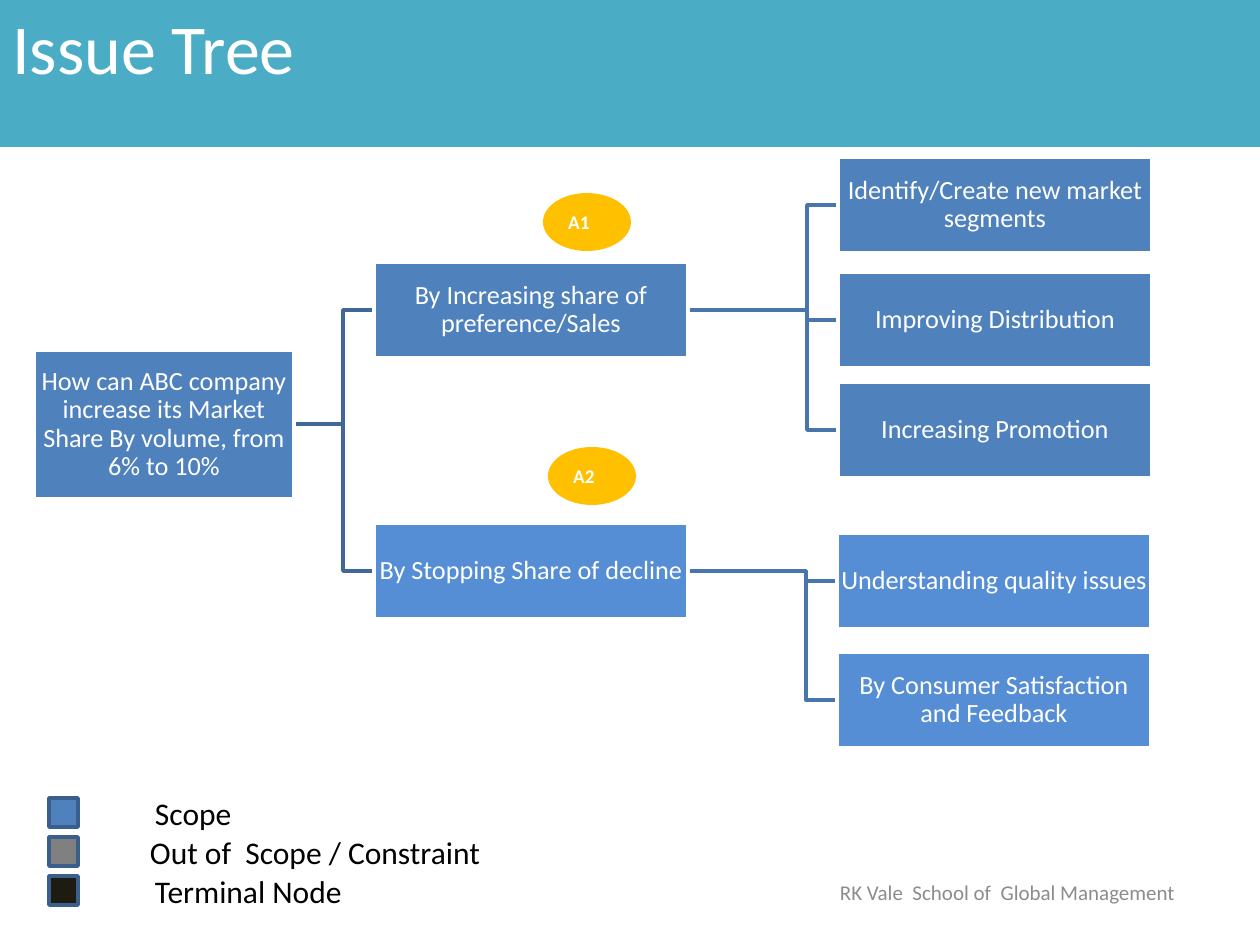
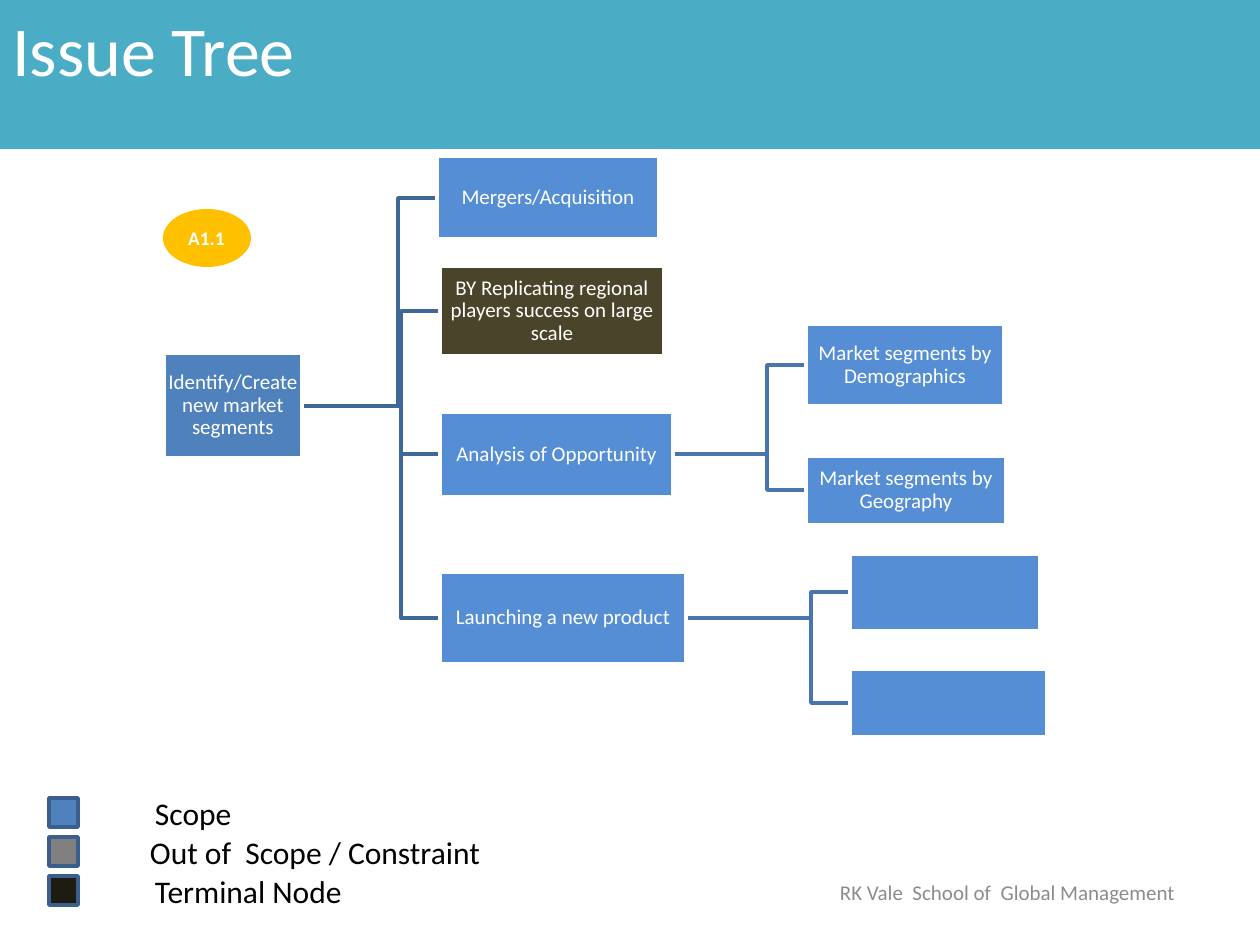
from dataclasses import dataclass, field

import pptx
import pptx.dml.color
import pptx.enum.shapes
import pptx.enum.text
import pptx.util

SHAPES = pptx.enum.shapes.MSO_SHAPE
ALIGN = pptx.enum.text.PP_ALIGN
ANCHOR = pptx.enum.text.MSO_ANCHOR
EMU_PER_PX = 914400 / 126


@dataclass(frozen=True)
class Theme:
    font: str = "Calibri"
    white: str = "FFFFFF"
    black: str = "000000"
    band: str = "4BACC6"
    scope: str = "4F81BD"
    branch: str = "558ED5"
    replicated: str = "4A452A"
    constraint: str = "808080"
    terminal: str = "1E1C11"
    badge: str = "FFC000"
    swatch_line: str = "3A5F8C"
    root_link: str = "3F6797"
    child_link: str = "4875AC"
    footer: str = "8C8C8C"
    title_size: int = 40
    legend_size: int = 18
    footer_size: int = 12
    badge_size: int = 11
    line_width: int = 2


THEME = Theme()


@dataclass
class Node:
    text: str
    box: tuple
    fill: str = THEME.branch
    children: list = field(default_factory=list)
    geometry: object = SHAPES.RECTANGLE


# Shared helpers

def px(value):
    return pptx.util.Emu(round(value * EMU_PER_PX))


def rgb(colour):
    return pptx.dml.color.RGBColor.from_string(colour)


def set_line(shape, colour):
    shape.line.color.rgb = rgb(colour)
    shape.line.width = pptx.util.Pt(THEME.line_width)


def add_block(slide, geometry, box, fill, line=None):
    shape = slide.shapes.add_shape(geometry, *map(px, box))
    shape.shadow.inherit = False
    shape.fill.solid()
    shape.fill.fore_color.rgb = rgb(fill)
    if line:
        set_line(shape, line)
    else:
        shape.line.fill.background()
    return shape


def write(shape, text, size, colour=THEME.white, align=ALIGN.LEFT,
          anchor=ANCHOR.MIDDLE, bold=False):
    frame = shape.text_frame
    frame.text = text
    frame.word_wrap = True
    frame.vertical_anchor = anchor
    paragraph = frame.paragraphs[0]
    paragraph.alignment = align
    font = paragraph.runs[0].font
    font.name = THEME.font
    font.size = pptx.util.Pt(size)
    font.bold = bold
    font.color.rgb = rgb(colour)
    return paragraph


# Title band, legend and footer

def add_title(slide, box):
    band = add_block(slide, SHAPES.RECTANGLE, box, THEME.band)
    write(band, "Issue Tree", THEME.title_size, anchor=ANCHOR.TOP)


def add_legend(slide, box):
    left, top, width, height = box
    pitch = height / 3
    entries = [("Scope", THEME.scope, 26),
               ("Out of  Scope / Constraint", THEME.constraint, 21),
               ("Terminal Node", THEME.terminal, 26)]
    for index, (text, fill, indent) in enumerate(entries):
        row = top + index * pitch
        add_block(slide, SHAPES.RECTANGLE, (left, row + 10, 29, 29), fill, THEME.swatch_line)
        label = slide.shapes.add_textbox(px(left + 80), px(row), px(width - 80), px(50))
        write(label, text, THEME.legend_size, THEME.black, anchor=ANCHOR.TOP)
        label.text_frame.margin_left = px(indent)


def add_footer(slide, box):
    footer = slide.shapes.add_textbox(*map(px, box))
    write(footer, "RK Vale  School of  Global Management", THEME.footer_size,
          THEME.footer, ALIGN.CENTER)


# Issue tree

def add_links(slide, node, bend, colour):
    """Draw elbows from a node to its children, turning a fixed distance before each child."""
    left, top, width, height = node.box
    start_x, start_y = left + width, top + height / 2
    for child in node.children:
        end_x, child_top, _, child_height = child.box
        end_y = child_top + child_height / 2
        builder = slide.shapes.build_freeform(start_x, start_y, scale=EMU_PER_PX)
        builder.add_line_segments([(end_x - bend, start_y), (end_x - bend, end_y),
                                   (end_x, end_y)], close=False)
        link = builder.convert_to_shape()
        link.shadow.inherit = False
        link.fill.background()
        set_line(link, colour)
        add_links(slide, child, bend, THEME.child_link)


def add_nodes(slide, node, size):
    shape = add_block(slide, node.geometry, node.box, node.fill, THEME.white)
    if node.text:
        paragraph = write(shape, node.text, size, align=ALIGN.CENTER)
        paragraph.line_spacing = 0.9
        frame = shape.text_frame
        frame.margin_left = frame.margin_right = px(1)
        frame.margin_top = frame.margin_bottom = px(1)
    for child in node.children:
        add_nodes(slide, child, size)


def add_badge(slide, text, left, top):
    badge = add_block(slide, SHAPES.OVAL, (left, top, 88, 58), THEME.badge)
    write(badge, text, THEME.badge_size, bold=True)


def build_tree_slide(presentation, root, size, bend, badges, band_top):
    slide = presentation.slides.add_slide(presentation.slide_layouts[6])
    add_links(slide, root, bend, THEME.root_link)
    add_nodes(slide, root, size)
    for badge in badges:
        add_badge(slide, *badge)
    add_title(slide, (0, band_top, 1260, 149))
    add_legend(slide, (49, 788, 500, 117))
    add_footer(slide, (808, 867, 399, 50))


# Contents of the two trees

def market_share_tree():
    def node(text, left, top, fill, children=()):
        return Node(text, (left, top, 314, 96), fill, list(children))

    sales = [("Identify/Create new market segments", 157),
             ("Improving Distribution", 272),
             ("Increasing Promotion", 382)]
    decline = [("Understanding quality issues", 533),
               ("By Consumer Satisfaction and Feedback", 652)]
    return Node(
        "How can ABC company increase its Market Share By volume, from 6% to 10%",
        (34, 350, 260, 149), THEME.scope,
        [node("By Increasing share of preference/Sales", 374, 262, THEME.scope,
              [node(text, 838, top, THEME.scope) for text, top in sales]),
         node("By Stopping Share of decline", 374, 523, THEME.branch,
              [node(text, 837, top, THEME.branch) for text, top in decline])],
        SHAPES.FLOWCHART_PROCESS)


def new_segments_tree():
    return Node(
        "Identify/Create new market segments", (164, 353, 138, 105), THEME.scope,
        [Node("Mergers/Acquisition", (437, 156, 222, 83)),
         Node("BY Replicating regional players success on large scale",
              (440, 266, 224, 90), THEME.replicated),
         Node("Analysis of Opportunity", (440, 412, 233, 85), children=[
             Node("Market segments by Demographics", (806, 324, 198, 82)),
             Node("Market segments by Geography", (806, 456, 200, 69))]),
         Node("Launching a new product", (440, 572, 246, 92), children=[
             Node("", (850, 554, 190, 77)),
             Node("", (850, 669, 197, 68))])])


def main():
    presentation = pptx.Presentation()
    presentation.slide_width = px(1260)
    presentation.slide_height = px(945)
    build_tree_slide(presentation, market_share_tree(), 15, 31,
                     [("A2", 548, 447), ("A1", 543, 193)], -2)
    build_tree_slide(presentation, new_segments_tree(), 12, 39,
                     [("A1.1", 163, 209)], 0)
    presentation.save("out.pptx")


if __name__ == "__main__":
    main()
